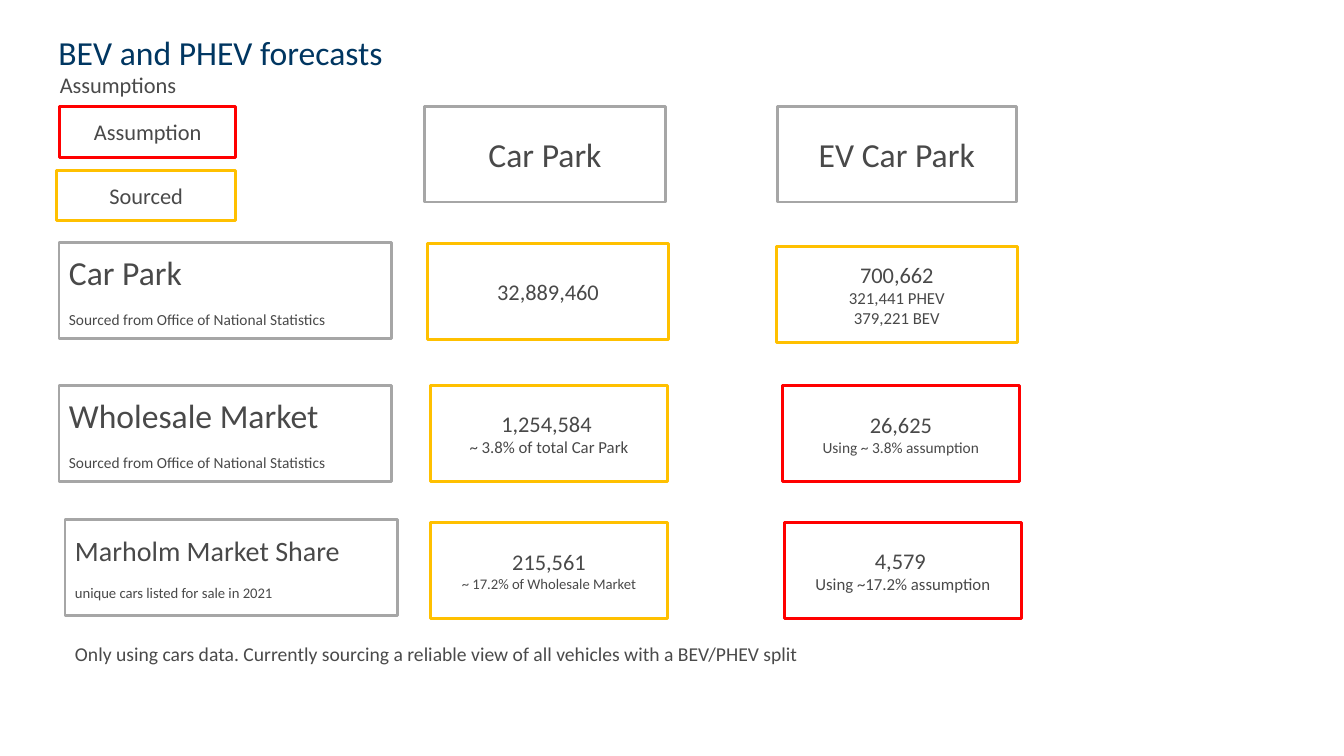
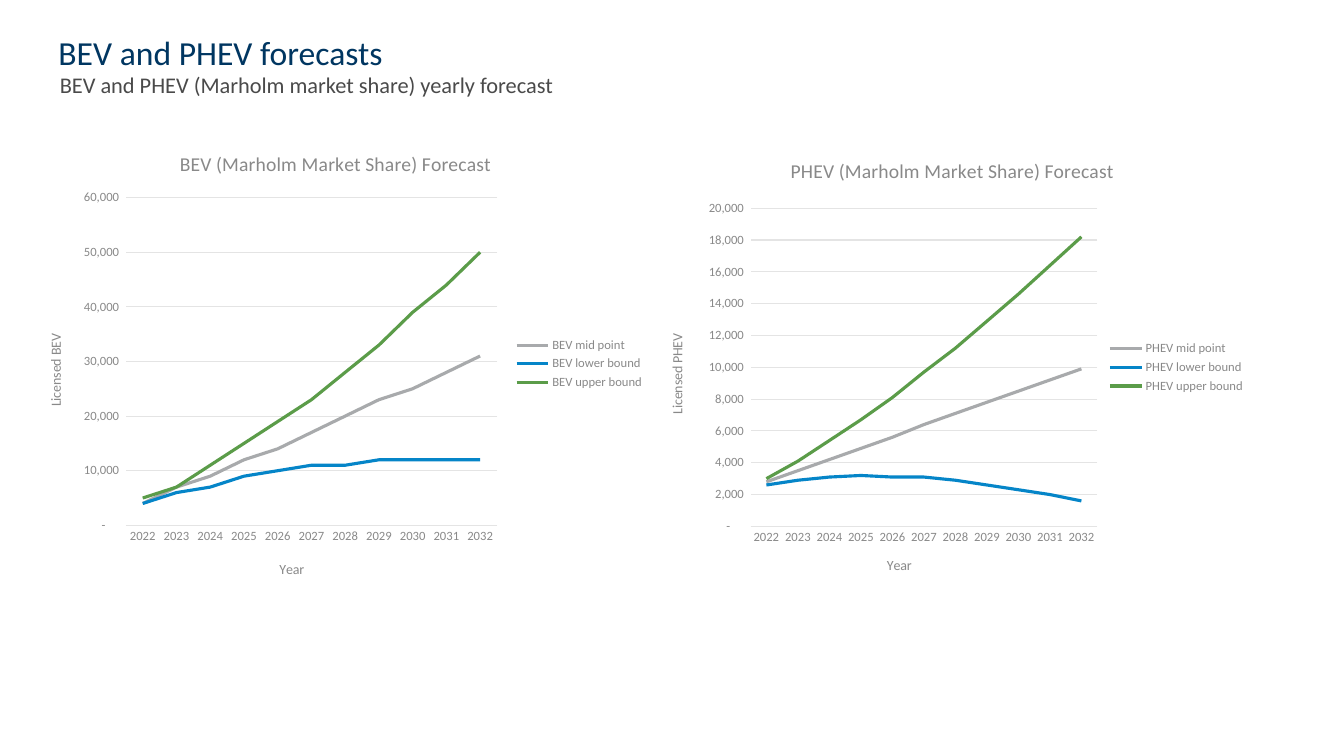
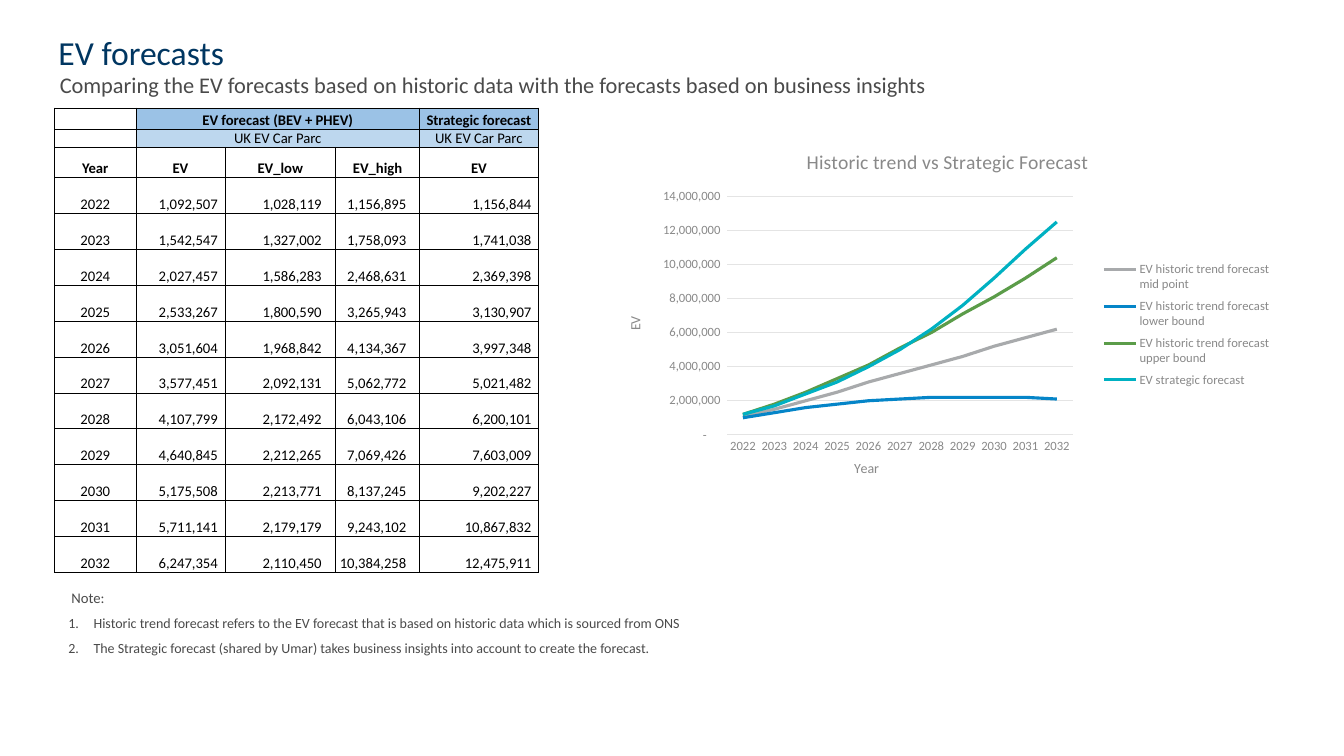
from pptx import Presentation
from pptx.chart.data import CategoryChartData
from pptx.dml.color import RGBColor
from pptx.enum.chart import XL_CHART_TYPE, XL_LEGEND_POSITION, XL_TICK_MARK
from pptx.enum.shapes import MSO_SHAPE
from pptx.enum.text import MSO_ANCHOR, PP_ALIGN
from pptx.oxml import parse_xml
from pptx.oxml.ns import nsdecls, qn
from pptx.util import Inches, Pt

LINE_CHART = XL_CHART_TYPE.LINE
LEGEND_RIGHT = XL_LEGEND_POSITION.RIGHT
NO_TICK = XL_TICK_MARK.NONE
RECTANGLE = MSO_SHAPE.RECTANGLE
TOP, MIDDLE, BOTTOM = MSO_ANCHOR.TOP, MSO_ANCHOR.MIDDLE, MSO_ANCHOR.BOTTOM
LEFT, CENTER, RIGHT = PP_ALIGN.LEFT, PP_ALIGN.CENTER, PP_ALIGN.RIGHT

# Shared style; one grid step is a tenth of an inch
FONT = "Calibri"
STEP = 0.1
NAVY, BODY, BOX_TEXT, BLACK, WHITE = "003661", "4A4A4A", "494949", "000000", "FFFFFF"
GREY, AMBER, RED = "A6A6A6", "FFC000", "FF0000"
CHART_TEXT, GRID = "898989", "E4E4E4"
HEADER, SUBHEADER = "9BC2E6", "BDD7EE"
SERIES_COLORS = ["A8AAAC", "0585C8", "5B9C49", "00B1C2"]
NUMBER_FORMAT = '_-* #,##0_-;\\-* #,##0_-;_-* "-"??_-;_-@_'
YEARS = [str(year) for year in range(2022, 2033)]


def color(hex_code):
    return RGBColor.from_string(hex_code)


def grid(*steps):
    return [Inches(step * STEP) for step in steps]


def set_font(font, size, hex_code, bold=False):
    font.name, font.size, font.bold = FONT, Pt(size), bold
    font.color.rgb = color(hex_code)


def write(frame, text, size=16, hex_code=BODY, bold=False, align=LEFT,
          before=0, indent=0, numbered=False, append=False):
    paragraph = frame.add_paragraph() if append else frame.paragraphs[0]
    paragraph.alignment = align
    if before:
        paragraph.space_before = Pt(before)
    if indent:
        properties = paragraph._p.get_or_add_pPr()
        properties.set("marL", str(Inches(indent)))
        if numbered:
            properties.set("indent", str(-Inches(indent)))
            properties.append(parse_xml(
                f'<a:buAutoNum {nsdecls("a")} type="arabicPeriod"/>'))
    if text:
        run = paragraph.add_run()
        run.text = text
        set_font(run.font, size, hex_code, bold)
    else:
        paragraph._p.append(parse_xml(
            f'<a:endParaRPr {nsdecls("a")} sz="{int(size * 100)}"/>'))


def place(owner, index, **shares):
    """Put a part of a chart at shares of the chart's size."""
    for layout in owner.findall(qn("c:layout")):
        owner.remove(layout)
    target = '<c:layoutTarget val="inner"/>' if owner.tag == qn("c:plotArea") else ""
    modes = "".join(f'<c:{side}Mode val="edge"/>' for side in "xy")
    values = "".join(f'<c:{key} val="{value}"/>' for key, value in shares.items())
    owner.insert(index, parse_xml(
        f'<c:layout {nsdecls("c")}><c:manualLayout>{target}{modes}{values}'
        '</c:manualLayout></c:layout>'))


class Deck:
    def __init__(self):
        self.presentation = Presentation()
        self.presentation.slide_width = Inches(13.33)
        self.presentation.slide_height = Inches(7.5)
        self.slide = None

    def new_slide(self, title, subtitle):
        self.slide = self.presentation.slides.add_slide(
            self.presentation.slide_layouts[6])
        self.text((4.5, 3.4, 123.9, 3.5), [(title, dict(size=24, hex_code=NAVY))],
                  anchor=MIDDLE, inset=(0.13, 0.07))
        self.text((4.95, 6.6, 123.4, 3.5), [(subtitle, {})])

    def text(self, area, paragraphs, anchor=TOP, inset=(0.1, 0.05)):
        frame = self.slide.shapes.add_textbox(*grid(*area)).text_frame
        frame.word_wrap, frame.vertical_anchor = True, anchor
        frame.margin_left = frame.margin_right = Inches(inset[0])
        frame.margin_top = frame.margin_bottom = Inches(inset[1])
        for index, (text, style) in enumerate(paragraphs):
            write(frame, text, append=index > 0, **style)

    def box(self, area, outline, paragraphs, align=CENTER, gap=0):
        shape = self.slide.shapes.add_shape(RECTANGLE, *grid(*area))
        shape.shadow.inherit = False
        shape.fill.solid()
        shape.fill.fore_color.rgb = color(WHITE)
        shape.line.color.rgb = color(outline)
        shape.line.width = Pt(2)
        frame = shape.text_frame
        frame.word_wrap, frame.vertical_anchor = True, MIDDLE
        for index, (text, size) in enumerate(paragraphs):
            write(frame, text, size=size, hex_code=BOX_TEXT, align=align,
                  before=gap if index else 0, append=index > 0)

    def chart(self, area, title, value_title, series, top, step,
              plot, title_at, year_at, value_at, legend_area=None):
        data = CategoryChartData(number_format="#,##0")
        data.categories = YEARS
        for name, values in series:
            data.add_series(name, values)
        chart = self.slide.shapes.add_chart(LINE_CHART, *grid(*area), data).chart
        set_font(chart.font, 10, BOX_TEXT)
        chart.plots[0].vary_by_categories = False
        for line, hex_code in zip(chart.plots[0].series, SERIES_COLORS):
            line.smooth = False
            line.format.line.color.rgb = color(hex_code)
            line.format.line.width = Pt(2.25)
        # Axes
        years, values = chart.category_axis, chart.value_axis
        for axis in (years, values):
            axis.major_tick_mark = axis.minor_tick_mark = NO_TICK
            set_font(axis.tick_labels.font, 9, CHART_TEXT)
        values.minimum_scale, values.maximum_scale, values.major_unit = 0, top, step
        values.tick_labels.number_format = NUMBER_FORMAT
        values.tick_labels.number_format_is_linked = False
        values.format.line.fill.background()
        for line in (years.format.line, values.major_gridlines.format.line):
            line.color.rgb = color(GRID)
            line.width = Pt(0.75)
        # Titles
        chart.has_title = True
        for holder, text, size, (x, y) in (
                (chart.chart_title, title, 14, title_at),
                (years.axis_title, "Year", 10, year_at),
                (values.axis_title, value_title, 10, value_at)):
            write(holder.text_frame, text, size=size, hex_code=CHART_TEXT, align=CENTER)
            place(holder.element, 1, x=x, y=y)
        body = values.axis_title.element.find(".//" + qn("a:bodyPr"))
        body.set("rot", "-5400000")
        body.set("vert", "horz")
        # Legend and plot
        chart.has_legend = True
        chart.legend.position = LEGEND_RIGHT
        chart.legend.include_in_layout = False
        set_font(chart.legend.font, 9, CHART_TEXT)
        parts = [("c:plotArea", 0, plot), ("c:legend", 1, legend_area)]
        for tag, index, shares in parts:
            if shares:
                owner = chart.element.find(".//" + qn(tag))
                place(owner, index, **dict(zip("xywh", shares)))

    def cell(self, cell, text, fill=WHITE, bold=False, align=CENTER, margin=0):
        cell.margin_left = cell.margin_top = cell.margin_bottom = 0
        cell.margin_right = Inches(margin)
        cell.vertical_anchor = BOTTOM
        write(cell.text_frame, text, size=10.5, hex_code=BLACK, bold=bold, align=align)
        properties = cell._tc.get_or_add_tcPr()
        for side in "LRTB":
            properties.append(parse_xml(
                f'<a:ln{side} {nsdecls("a")} w="6350"><a:solidFill>'
                f'<a:srgbClr val="{BLACK}"/></a:solidFill></a:ln{side}>'))
        cell.fill.solid()
        cell.fill.fore_color.rgb = color(fill)

    def table(self, area, widths, heights, headers, rows, margins):
        table = self.slide.shapes.add_table(
            len(heights), len(widths), *grid(*area)).table
        table.first_row = table.horz_banding = False
        for column, width in zip(table.columns, widths):
            column.width = Inches(width)
        for row, height in zip(table.rows, heights):
            row.height = Inches(height)
        for row, (texts, fill, bold) in enumerate(headers):
            for column, text in enumerate(texts):
                self.cell(table.cell(row, column), text,
                          fill if column else WHITE, bold)
            if not texts[0]:
                table.cell(row, 1).merge(table.cell(row, 3))
        for row, (year, *values) in enumerate(rows, len(headers)):
            self.cell(table.cell(row, 0), year)
            for column, (value, margin) in enumerate(zip(values, margins), 1):
                self.cell(table.cell(row, column), f"{value:,}",
                          align=RIGHT, margin=margin)


def assumptions(deck):
    deck.new_slide("BEV and PHEV forecasts", "Assumptions")
    deck.text((6.45, 63.2, 87.2, 4.3), [
        ("Only using cars data. Currently sourcing a reliable view of all "
         "vehicles with a BEV/PHEV split", dict(size=14))])
    # Key and column heads
    deck.box((5.9, 10.6, 17.5, 5), RED, [("Assumption", 16)])
    deck.box((5.6, 16.9, 17.8, 5), AMBER, [("Sourced", 16)])
    deck.box((42.1, 10.55, 23.9, 9.5), GREY, [("Car Park", 24)])
    deck.box((77.1, 10.55, 23.7, 9.5), GREY, [("EV Car Park", 24)])
    # Row heads
    source = ("Sourced from Office of National Statistics", 11)
    for left, top, gap, lines in (
            (5.85, 24.05, 13, [("Car Park", 24), source]),
            (5.85, 38.25, 13, [("Wholesale Market", 24), source]),
            (6.45, 51.55, 12.5, [("Marholm Market Share", 20),
                                 ("unique cars listed for sale in 2021", 10.5)])):
        deck.box((left, top, 33, 9.5), GREY, lines, align=LEFT, gap=gap)
    # Figures
    for left, top, width, outline, figure, *details in (
            (42.4, 24.15, 23.9, AMBER, "32,889,460"),
            (77, 24.45, 23.9, AMBER, "700,662", ("321,441 PHEV", 12), ("379,221 BEV", 12)),
            (42.7, 38.25, 23.5, AMBER, "1,254,584 ", ("~ 3.8% of total Car Park", 12)),
            (77.6, 38.25, 23.5, RED, "26,625", ("Using ~ 3.8% assumption", 11)),
            (42.7, 51.85, 23.5, AMBER, "215,561", ("~ 17.2% of Wholesale Market", 10.5)),
            (77.8, 51.85, 23.5, RED, "4,579 ", ("Using ~17.2% assumption", 12))):
        deck.box((left, top, width, 9.5), outline, [(figure, 16), *details])


def bounds(prefix, unit, *values):
    names = ("mid point", "lower bound", "upper bound")
    return [(f"{prefix} {name}", [value * unit for value in row])
            for name, row in zip(names, values)]


def yearly_forecast(deck):
    deck.new_slide("BEV and PHEV forecasts",
                   "BEV and PHEV (Marholm market share) yearly forecast")
    deck.chart((2.5, 13.2, 62.4, 45.8), "BEV (Marholm Market Share) Forecast",
               "Licensed BEV", bounds(
                   "BEV", 1000,
                   (4, 7, 9, 12, 14, 17, 20, 23, 25, 28, 31),
                   (4, 6, 7, 9, 10, 11, 11, 12, 12, 12, 12),
                   (5, 7, 11, 15, 19, 23, 28, 33, 39, 44, 50)),
               60000, 10000, plot=(0.16, 0.14, 0.59, 0.71),
               title_at=(0.24, 0.03), year_at=(0.4, 0.92), value_at=(0.03, 0.43))
    deck.chart((64.2, 13.9, 60.3, 45.1), "PHEV (Marholm Market Share) Forecast",
               "Licensed PHEV", bounds(
                   "PHEV", 100,
                   (28, 35, 42, 49, 56, 64, 71, 78, 85, 92, 99),
                   (26, 29, 31, 32, 31, 31, 29, 26, 23, 20, 16),
                   (30, 41, 54, 67, 81, 97, 112, 129, 146, 164, 182)),
               20000, 2000, plot=(0.17, 0.15, 0.57, 0.7),
               title_at=(0.23, 0.03), year_at=(0.39, 0.91), value_at=(0.03, 0.42))


def ev_forecast(deck):
    deck.new_slide("EV forecasts", "Comparing the EV forecasts based on historic data "
                   "with the forecasts based on business insights")
    middle = [1092507, 1542547, 2027457, 2533267, 3051604, 3577451,
              4107799, 4640845, 5175508, 5711141, 6247354]
    low = [1028119, 1327002, 1586283, 1800590, 1968842, 2092131,
           2172492, 2212265, 2213771, 2179179, 2110450]
    high = [1156895, 1758093, 2468631, 3265943, 4134367, 5062772,
            6043106, 7069426, 8137245, 9243102, 10384258]
    strategic = [1156844, 1741038, 2369398, 3130907, 3997348, 5021482,
                 6200101, 7603009, 9202227, 10867832, 12475911]
    headers = [
        (("", "EV forecast (BEV + PHEV)", "", "", "Strategic forecast"), HEADER, True),
        (("", "UK EV Car Parc", "", "", "UK EV Car Parc"), SUBHEADER, False),
        (("Year", "EV", "EV_low", "EV_high", "EV"), WHITE, True)]
    deck.table((5.4, 10.7, 48, 46.1), [0.81, 0.88, 1.1, 0.83, 1.18],
               [0.21, 0.18, 0.3] + [3.92 / len(YEARS)] * len(YEARS), headers,
               zip(YEARS, middle, low, high, strategic), (0.07, 0.14, 0.13, 0.07))
    # The chart shows the table's figures to the nearest hundred thousand
    series = bounds("EV historic trend forecast", 1, middle, low, high)
    series.append(("EV strategic forecast", strategic))
    rounded = [(name, [round(value, -5) for value in values]) for name, values in series]
    deck.chart((59.8, 13.3, 68.5, 36.4), "Historic trend vs Strategic Forecast", "EV",
               rounded, 14000000, 2000000, plot=(0.18, 0.17, 0.5, 0.65),
               title_at=(0.29, 0.03), year_at=(0.36, 0.88), value_at=(0.03, 0.49),
               legend_area=(0.71, 0.33, 0.27, 0.38))
    note = dict(size=10, before=6, indent=0.25, numbered=True)
    deck.text((5.8, 57.9, 101.1, 8), [
        ("Note:", dict(size=10.5, indent=0.03)),
        ("Historic trend forecast refers to the EV forecast that is based on "
         "historic data which is sourced from ONS", note),
        ("The Strategic forecast (shared by Umar) takes business insights into "
         "account to create the forecast.", note)])


def main():
    deck = Deck()
    assumptions(deck)
    yearly_forecast(deck)
    ev_forecast(deck)
    deck.presentation.save("out.pptx")


if __name__ == "__main__":
    main()
